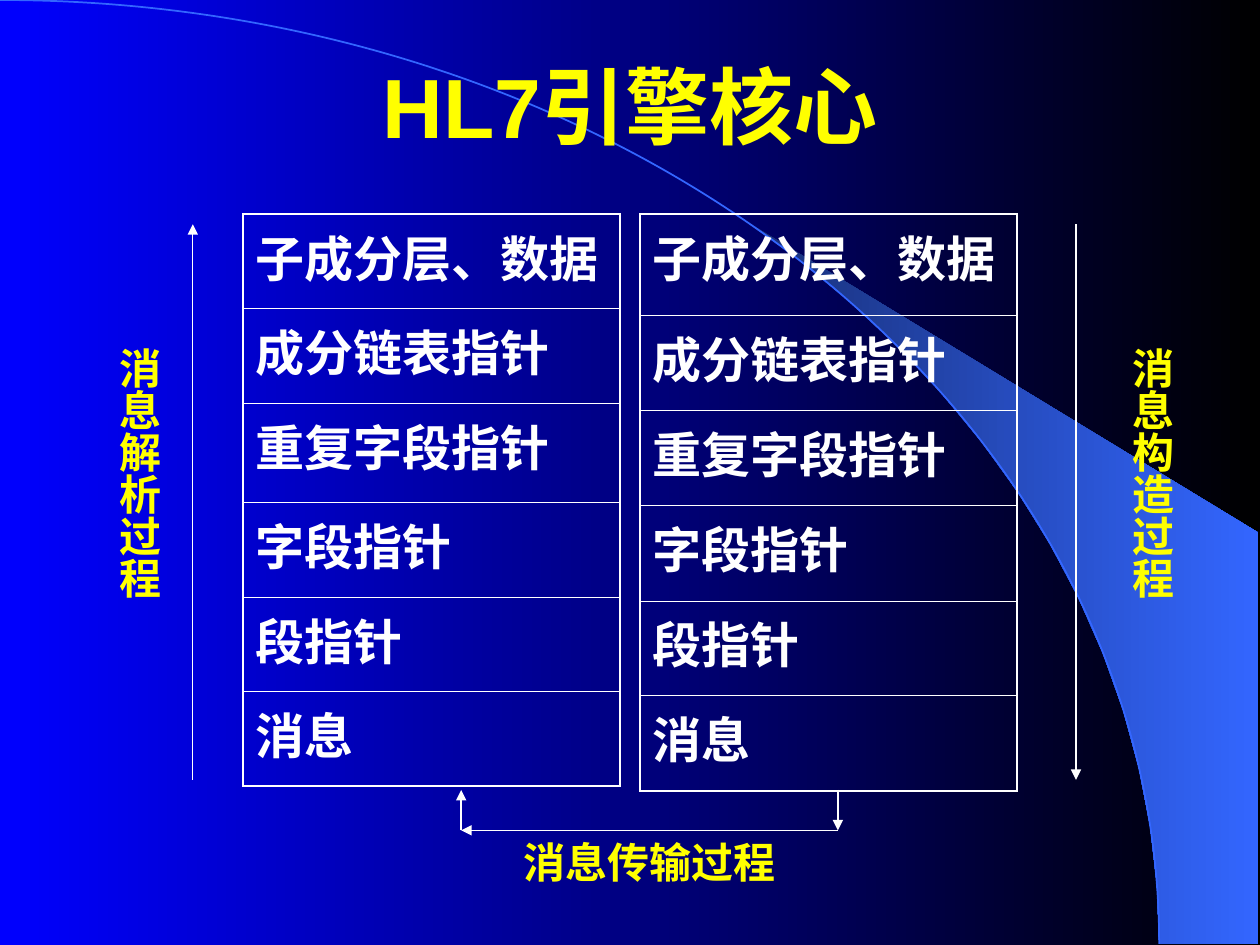
from math import asin, cos, pi, sin

from lxml.etree import SubElement
from pptx import Presentation
from pptx.dml.color import RGBColor
from pptx.enum.shapes import MSO_CONNECTOR
from pptx.enum.text import MSO_ANCHOR, MSO_AUTO_SIZE, PP_ALIGN
from pptx.oxml.ns import qn
from pptx.util import Inches, Pt

WHITE, YELLOW, BLUE = "FFFFFF", "FFFF00", "3366FF"
LAYERS = ["子成分层、数据", "成分链表指针", "重复字段指针", "字段指针", "段指针", "消息"]


def color(code):
    """Turn a hex string into a colour."""
    return RGBColor.from_string(code)


def blend(fill, start, end):
    """Fill from left to right with two colours."""
    fill.gradient()
    fill.gradient_angle = 0
    for stop, code in zip(fill.gradient_stops, (start, end)):
        stop.color.rgb = color(code)


def write(frame, text, size, code, font="Times New Roman"):
    """Add one bold run to the first paragraph and return the paragraph."""
    para = frame.paragraphs[0]
    run = para.add_run()
    run.text = text
    run.font.size, run.font.bold, run.font.name = Pt(size), True, font
    run.font.color.rgb = color(code)
    return para


def trace(slide, points, close):
    """Draw a freeform through points given in inches."""
    spots = [(Inches(x), Inches(y)) for x, y in points]
    pen = slide.shapes.build_freeform(*spots[0])
    pen.add_line_segments(spots[1:], close=close)
    shape = pen.convert_to_shape()
    shape.shadow.inherit = False
    return shape


def add_beam(slide, wide, high):
    """Draw the beam that leaves the quarter ellipse of the given size."""
    first, count = asin(5.89 / wide), 14
    turns = [first + (pi / 2 - first) * i / count for i in range(count + 1)]
    edge = [(wide * sin(t), high * (1 - cos(t))) for t in turns]
    beam = trace(slide, edge + [(9.99, high), (9.99, 4.23)], True)
    blend(beam.fill, "182F76", BLUE)
    beam.line.fill.background()


def add_curve(slide, wide, high):
    """Draw the quarter ellipse as one smooth curve from the origin."""
    curve = trace(slide, [(0, 0), (wide, high)], False)
    line = next(curve._element.iter(qn("a:lnTo")))
    line.tag = qn("a:cubicBezTo")
    for i, (x, y) in enumerate([(5.08, 0), (wide, 3.35)]):
        line.insert(i, line.makeelement(qn("a:pt"), x=str(Inches(x)), y=str(Inches(y))))
    curve.fill.background()
    curve.line.color.rgb = color(BLUE)
    curve.line.width = Pt(1)


def add_title(slide, text, left, top, wide, high):
    """Place the title in front of the decor."""
    title = slide.shapes.title
    slide.shapes._spTree.append(title._element)
    title.left, title.top = Inches(left), Inches(top)
    title.width, title.height = Inches(wide), Inches(high)
    title.text_frame.vertical_anchor = MSO_ANCHOR.MIDDLE
    write(title.text_frame, text, 48, YELLOW, "Arial").alignment = PP_ALIGN.CENTER


def add_edge(cell, side, width):
    """Draw one white border of a cell."""
    line = SubElement(cell._tc.get_or_add_tcPr(), qn("a:ln" + side), w=str(Pt(width)))
    SubElement(SubElement(line, qn("a:solidFill")), qn("a:srgbClr"), val=WHITE)


def add_stack(slide, left, top, wide, heights):
    """Draw the message layers as a table of one column."""
    frame = slide.shapes.add_table(len(LAYERS), 1, Inches(left), Inches(top),
                                   Inches(wide), Inches(sum(heights)))
    table = frame.table
    table.first_row = table.horz_banding = False
    last = len(LAYERS) - 1
    for i, (text, high) in enumerate(zip(LAYERS, heights)):
        table.rows[i].height = Inches(high)
        cell = table.cell(i, 0)
        widths = {"L": 1.08, "R": 1.08, "T": 0.45 if i else 1.08,
                  "B": 0.45 if i < last else 1.08}
        for side, width in widths.items():
            add_edge(cell, side, width)
        cell.fill.background()
        write(cell.text_frame, text, 28, WHITE).space_before = Pt(7)


def add_label(slide, text, left, top, wide, high, upright=False):
    """Add a yellow label, set in a column if upright."""
    box = slide.shapes.add_textbox(Inches(left), Inches(top), Inches(wide), Inches(high))
    frame = box.text_frame
    frame.word_wrap = False
    frame.auto_size = MSO_AUTO_SIZE.SHAPE_TO_FIT_TEXT
    if upright:
        frame._txBody.bodyPr.set("vert", "eaVert")
        frame.margin_left = frame.margin_right = Inches(0.05)
        frame.margin_top = frame.margin_bottom = Inches(0.1)
    write(frame, text, 24, YELLOW)


def add_arrow(slide, start, end):
    """Draw a thin white arrow between two points."""
    ends = [Inches(n) for n in (*start, *end)]
    arrow = slide.shapes.add_connector(MSO_CONNECTOR.STRAIGHT, *ends)
    arrow.line.color.rgb = color(WHITE)
    arrow.line.width = Pt(0.74)
    SubElement(arrow.line._get_or_add_ln(), qn("a:tailEnd"), type="triangle")
    SubElement(arrow._element.spPr, qn("a:effectLst"))


def add_route(slide, left, top, wide, high):
    """Draw the transfer path from the right stack to the left one."""
    right, low = left + wide, top + high
    stops = [(right, top), (right, low), (left, low), (left, top)]
    for start, end in zip(stops, stops[1:]):
        add_arrow(slide, start, end)
    add_label(slide, "消息传输过程", left + 0.4, low, 2.2, 0.5)


def main():
    """Build the slide and save it."""
    deck = Presentation()
    deck.slide_width, deck.slide_height = Inches(10), Inches(7.5)
    slide = deck.slides.add_slide(deck.slide_layouts[5])
    blend(slide.background.fill, "0000FF", "000000")
    add_beam(slide, 9.2, 7.49)
    add_curve(slide, 9.2, 7.49)
    add_title(slide, "HL7引擎核心", 0.75, 0.21, 8.5, 1.25)
    add_stack(slide, 1.93, 1.7, 2.99, [0.75, 0.75, 0.79, 0.75, 0.75, 0.75])
    add_stack(slide, 5.08, 1.7, 2.99, [0.8, 0.76, 0.75, 0.76, 0.75, 0.76])
    add_label(slide, "消息解析过程", 0.75, 2.66, 0.6, 2.1, upright=True)
    add_label(slide, "消息构造过程", 8.39, 2.66, 1, 2.1, upright=True)
    add_route(slide, 3.66, 6.27, 2.99, 0.32)
    add_arrow(slide, (1.53, 6.19), (1.53, 1.78))
    add_arrow(slide, (8.54, 1.78), (8.54, 6.19))
    deck.save("out.pptx")


main()
